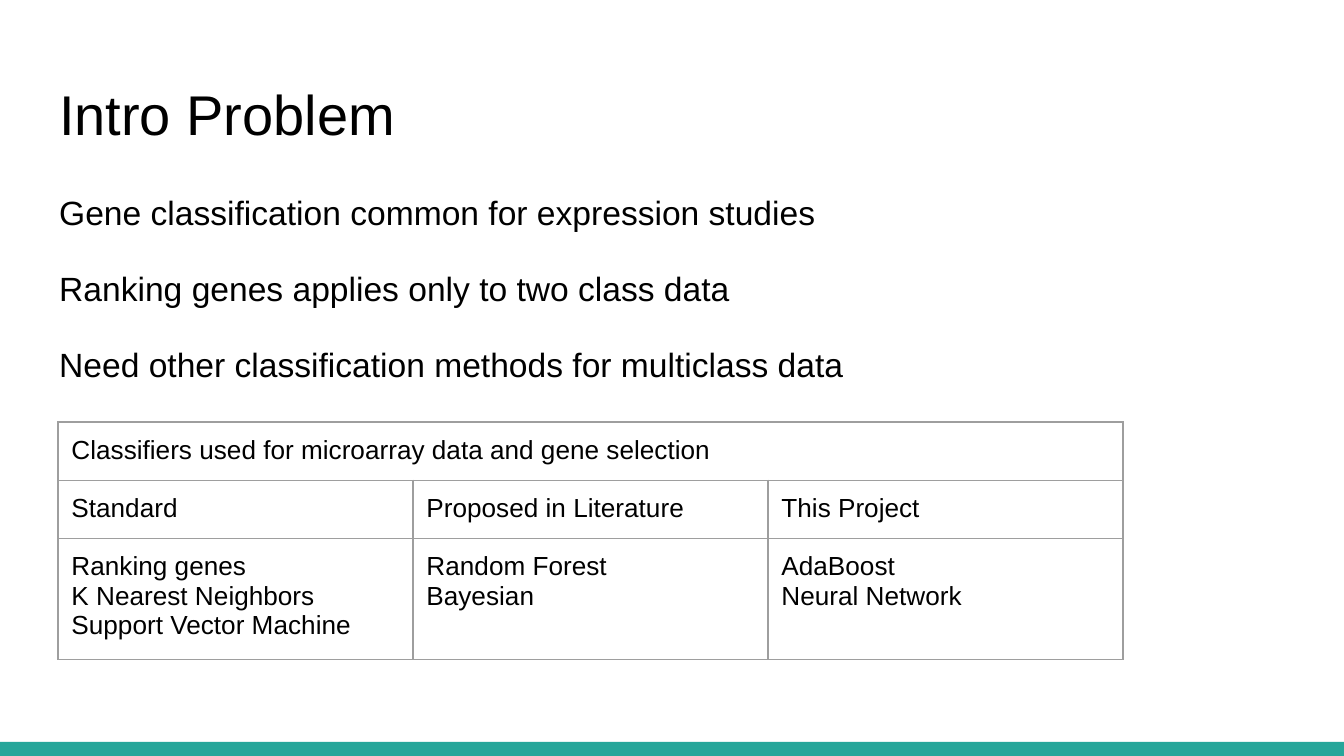
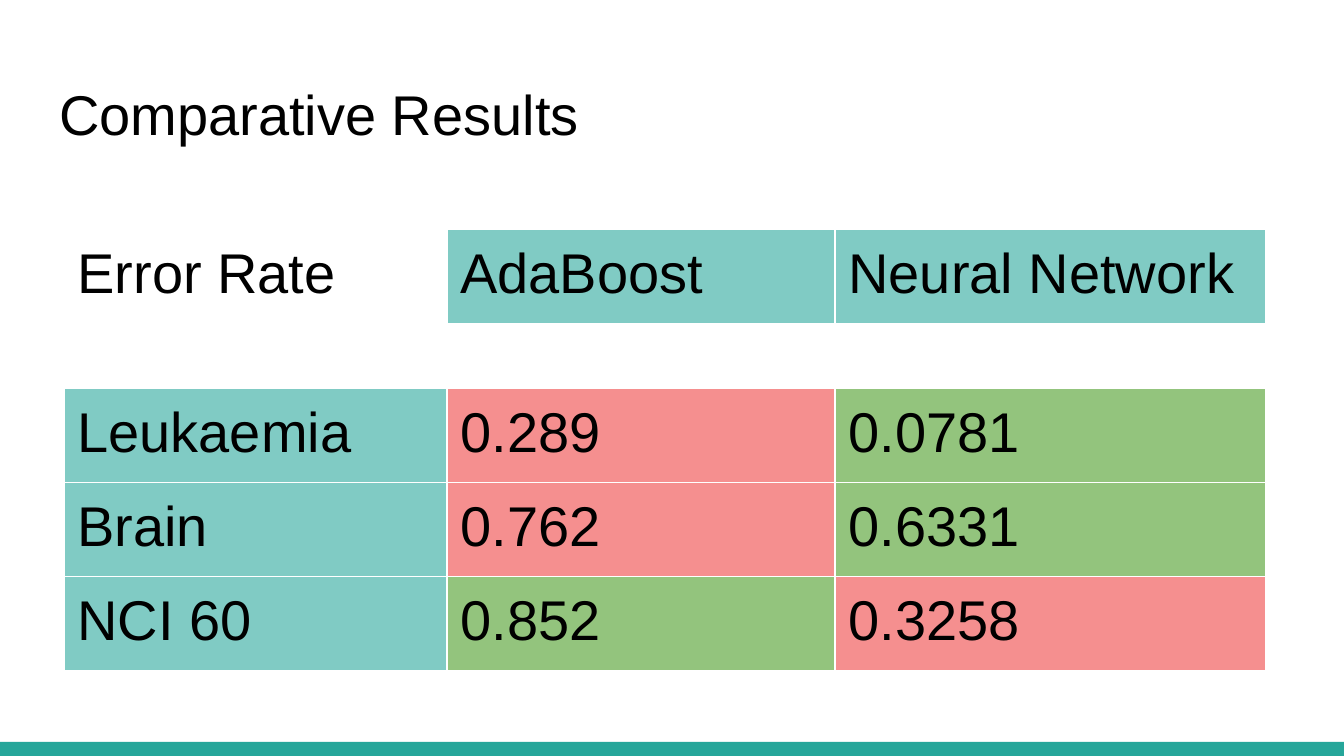
from lxml import etree
from pptx import Presentation
from pptx.dml.color import RGBColor
from pptx.enum import shapes, text
from pptx.oxml import ns
from pptx.util import Pt

# Shared look: 1344 x 756 px make a slide of 10 x 5.625 inches
WIDE, HIGH = 1344, 756
SCALE = 9144000 / WIDE
PAD = 91440
FONT = "Arial"
BLACK, WHITE, GREY = "000000", "FFFFFF", "9E9E9E"
TEAL, AQUA = "26A69A", "80CBC4"
RED, GREEN = "F58F8F", "93C47D"


def px(n):
    return round(n * SCALE)


def rgb(code):
    return RGBColor.from_string(code)


def write(frame, lines, size=14, color=BLACK, space=None, after=None):
    """Fill a text frame, one paragraph for each line."""
    for i, line in enumerate(lines):
        para = frame.paragraphs[0] if i == 0 else frame.add_paragraph()
        if space:
            para.line_spacing = space
        if after is not None:
            para.space_after = Pt(after)
        run = para.add_run()
        run.text = line
        run.font.name = FONT
        run.font.size = Pt(size)
        run.font.color.rgb = rgb(color)


def add_text(slide, box, lines, **form):
    frame = slide.shapes.add_textbox(*map(px, box)).text_frame
    frame.word_wrap = True
    frame.vertical_anchor = text.MSO_ANCHOR.TOP
    frame.margin_left = frame.margin_right = PAD
    frame.margin_top = frame.margin_bottom = PAD
    write(frame, lines, **form)


def add_slide(deck, title):
    """Blank slide with the foot band and the title."""
    slide = deck.slides.add_slide(deck.slide_layouts[6])
    band = slide.shapes.add_shape(
        shapes.MSO_SHAPE.RECTANGLE, 0, px(742), px(WIDE), px(HIGH - 742))
    band.shadow.inherit = False
    band.fill.solid()
    band.fill.fore_color.rgb = rgb(TEAL)
    band.line.fill.background()
    add_text(slide, (46, 66, 1252, 90), [title], size=30)
    return slide


def set_edges(cell, color):
    props = cell._tc.get_or_add_tcPr()
    for side in ("a:lnL", "a:lnR", "a:lnT", "a:lnB"):
        line = etree.SubElement(props, ns.qn(side), w=str(Pt(0.75)))
        fill = etree.SubElement(line, ns.qn("a:solidFill"))
        etree.SubElement(fill, ns.qn("a:srgbClr"), val=color)


def set_cell(cell, words, fill, edge, size):
    set_edges(cell, edge)
    if fill:
        cell.fill.solid()
        cell.fill.fore_color.rgb = rgb(fill)
    else:
        cell.fill.background()
    cell.margin_left = cell.margin_right = PAD
    # Empty cells get no padding, so that they never stretch their row
    cell.margin_top = cell.margin_bottom = PAD if words else 0
    if words:
        write(cell.text_frame, words.split("\n"), size=size)


def add_table(slide, left, top, cols, rows, data, edge, size, fills=None):
    """Table with columns and rows in px; fills holds a colour per cell."""
    table = slide.shapes.add_table(
        len(rows), len(cols), px(left), px(top),
        px(sum(cols)), px(sum(rows))).table
    table.first_row = table.horz_banding = False
    for col, width in zip(table.columns, cols):
        col.width = px(width)
    for row, height in zip(table.rows, rows):
        row.height = px(height)
    for r, line in enumerate(data):
        for c, words in enumerate(line):
            fill = fills[r][c] if fills else None
            set_cell(table.cell(r, c), words, fill, edge, size)
    return table


def add_intro(deck):
    slide = add_slide(deck, "Intro Problem")
    add_text(slide, (46, 172, 1252, 500), [
        "Gene classification common for expression studies",
        "Ranking genes applies only to two class data",
        "Need other classification methods for multiclass data",
    ], size=18, space=1.15, after=16)

    # Classifiers, under one heading across all columns
    data = [
        ["Classifiers used for microarray data and gene selection", "", ""],
        ["Standard", "Proposed in Literature", "This Project"],
        ["Ranking genes\nK Nearest Neighbors\nSupport Vector Machine",
         "Random Forest\nBayesian", "AdaBoost\nNeural Network"],
    ]
    table = add_table(slide, 58, 422, [355] * 3, [56, 56, 115],
                      data, GREY, 14)
    table.cell(0, 0).merge(table.cell(0, 2))


def add_results(deck):
    slide = add_slide(deck, "Comparative Results")
    data = [
        ["Error Rate", "AdaBoost", "Neural Network"],
        ["", "", ""],
        ["Leukaemia", "0.289", "0.0781"],
        ["Brain", "0.762", "0.6331"],
        ["NCI 60", "0.852", "0.3258"],
    ]
    fills = [
        [None, AQUA, AQUA],
        [None] * 3,
        [AQUA, RED, GREEN],
        [AQUA, RED, GREEN],
        [AQUA, GREEN, RED],
    ]
    add_table(slide, 64, 229, [383, 388, 431], [89, 65, 89, 89, 89],
              data, WHITE, 30, fills)


def main():
    deck = Presentation()
    deck.slide_width, deck.slide_height = px(WIDE), px(HIGH)
    add_intro(deck)
    add_results(deck)
    deck.save("out.pptx")


if __name__ == "__main__":
    main()
